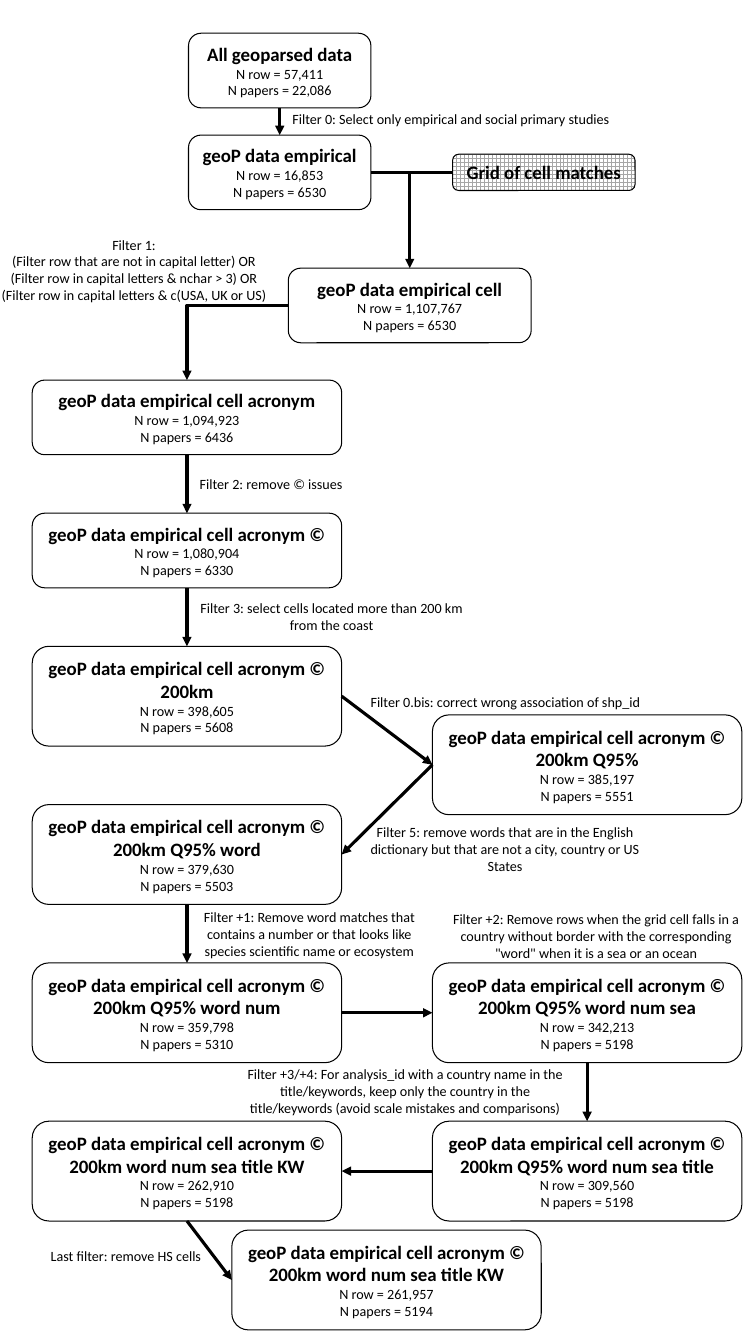
import pptx
import pptx.dml.color
import pptx.enum.dml
import pptx.enum.shapes
import pptx.enum.text
import pptx.oxml.ns
import pptx.util
from lxml import etree
from pptx.util import Inches

FONT = "Calibri"
TITLE_SIZE, TEXT_SIZE = 13.5, 10.1
BLACK, WHITE, GRID_GREY = "000000", "FFFFFF", "A6A6A6"
LEFT, RIGHT, WIDE = 0.32, 4.29, 3.07
SHORT, TALL = 0.74, 0.99
FIRST_TALL_ROW, ROW_PITCH = 6.41, 1.57
TOP_SIDE, LEFT_SIDE, BOTTOM_SIDE, RIGHT_SIDE = range(4)
ROWS = [FIRST_TALL_ROW + ROW_PITCH * index for index in range(4)]
STEM = "geoP data empirical cell acronym ©"

STEPS = {
    "all": ((1.87, 0.33, 1.81, SHORT), "All geoparsed data", "57,411", "22,086"),
    "empirical": ((1.87, 1.34, 1.81, SHORT), "geoP data empirical", "16,853", "6530"),
    "cell": ((2.86, 2.66, 2.41, SHORT), "geoP data empirical cell", "1,107,767", "6530"),
    "acronym": ((LEFT, 3.77, WIDE, SHORT), "geoP data empirical cell acronym", "1,094,923", "6436"),
    "copyright": ((LEFT, 5.09, WIDE, SHORT), STEM, "1,080,904", "6330"),
    "coast": ((LEFT, ROWS[0], WIDE, TALL), STEM + " 200km", "398,605", "5608"),
    "quantile": ((RIGHT, 7.09, WIDE, TALL), STEM + " 200km Q95%", "385,197", "5551"),
    "word": ((LEFT, ROWS[1], WIDE, TALL), STEM + " 200km Q95% word", "379,630", "5503"),
    "num": ((LEFT, ROWS[2], WIDE, TALL), STEM + " 200km Q95% word num", "359,798", "5310"),
    "sea": ((RIGHT, ROWS[2], WIDE, TALL), STEM + " 200km Q95% word num sea", "342,213", "5198"),
    "title": ((RIGHT, ROWS[3], WIDE, TALL), STEM + " 200km Q95% word num sea title", "309,560", "5198"),
    "keywords": ((LEFT, ROWS[3], WIDE, TALL), STEM + " 200km word num sea title KW", "262,910", "5198"),
    "final": ((2.3, 12.2, WIDE, TALL), STEM + " 200km word num sea title KW", "261,957", "5194"),
}

ARROWS = [
    ("all", BOTTOM_SIDE, "empirical", TOP_SIDE),
    ("acronym", BOTTOM_SIDE, "copyright", TOP_SIDE),
    ("copyright", BOTTOM_SIDE, "coast", TOP_SIDE),
    ("coast", RIGHT_SIDE, "quantile", LEFT_SIDE),
    ("quantile", LEFT_SIDE, "word", RIGHT_SIDE),
    ("word", BOTTOM_SIDE, "num", TOP_SIDE),
    ("num", RIGHT_SIDE, "sea", LEFT_SIDE),
    ("sea", BOTTOM_SIDE, "title", TOP_SIDE),
    ("title", LEFT_SIDE, "keywords", RIGHT_SIDE),
    ("keywords", BOTTOM_SIDE, "final", LEFT_SIDE),
]

FILTERS = [
    ((2.77, 1.05, 3.41, 0.27), ["Filter 0: Select only empirical and social primary studies"]),
    ((1.25, 4.67, 2.88, 0.27), ["Filter 2: remove © issues"]),
    ((1.85, 5.9, 2.88, 0.44), ["Filter 3: select cells located more than 200 km from the coast"]),
    ((3.48, 6.83, WIDE, 0.27), ["Filter 0.bis: correct wrong association of shp_id"]),
    ((3.57, 8.12, 2.88, 0.61), ["Filter 5: remove words that are in the English",
                                "dictionary but that are not a city, country or US States"]),
    ((1.85, 8.96, 2.44, 0.61), ["Filter +1: Remove word matches that contains a number or "
                                "that looks like species scientific name or ecosystem"]),
    ((4.38, 8.98, WIDE, 0.61), ["Filter +2: Remove rows when the grid cell falls in a country without "
                                "border with the corresponding \"word\" when it is a sea or an ocean"]),
    ((2.31, 10.52, 3.42, 0.61), ["Filter +3/+4: For analysis_id with a country name in the title/keywords, "
                                 "keep only the country in the title/keywords "
                                 "(avoid scale mistakes and comparisons)"]),
    ((0.3, 12.32, 1.9, 0.27), ["Last filter: remove HS cells"]),
]

ACRONYM_FILTER = ((-0.11, 2.29, 2.88, 0.78), [
    "Filter 1:",
    "(Filter row that are not in capital letter) OR",
    "(Filter row in capital letters & nchar > 3) OR",
    "(Filter row in capital letters & c(USA, UK or US)",
])


def color(hex_code):
    """Return the RGB colour for a hex string."""
    return pptx.dml.color.RGBColor.from_string(hex_code)


def write_lines(shape, lines):
    """Write centred paragraphs from (text, size, bold) triples."""
    frame = shape.text_frame
    frame.word_wrap = True
    for index, (text, size, bold) in enumerate(lines):
        paragraph = frame.add_paragraph() if index else frame.paragraphs[0]
        paragraph.alignment = pptx.enum.text.PP_ALIGN.CENTER
        run = paragraph.add_run()
        run.text = text
        run.font.name = FONT
        run.font.size = pptx.util.Pt(size)
        run.font.bold = bold
        run.font.color.rgb = color(BLACK)


def add_box(slide, box, lines):
    """Add an unfilled rounded box with centred text."""
    shape = slide.shapes.add_shape(
        pptx.enum.shapes.MSO_SHAPE.ROUNDED_RECTANGLE, *map(Inches, box))
    shape.shadow.inherit = False
    shape.fill.background()
    shape.line.color.rgb = color(BLACK)
    shape.line.width = pptx.util.Pt(0.75)
    shape.text_frame.vertical_anchor = pptx.enum.text.MSO_ANCHOR.MIDDLE
    write_lines(shape, lines)
    return shape


def add_step(slide, box, title, rows, papers):
    """Add a dataset box with its title and counts."""
    return add_box(slide, box, [
        (title, TITLE_SIZE, True),
        (f"N row = {rows}", TEXT_SIZE, False),
        (f"N papers = {papers}", TEXT_SIZE, False),
    ])


def add_grid_box(slide, box):
    """Add the patterned box for the grid of cell matches."""
    shape = add_box(slide, box, [("Grid of cell matches", TITLE_SIZE, True)])
    shape.fill.patterned()
    shape.fill.pattern = pptx.enum.dml.MSO_PATTERN.LARGE_GRID
    shape.fill.fore_color.rgb = color(GRID_GREY)
    shape.fill.back_color.rgb = color(WHITE)
    return shape


def add_filter(slide, box, lines):
    """Add a filter caption and return its text box."""
    shape = slide.shapes.add_textbox(*map(Inches, box))
    write_lines(shape, [(line, TEXT_SIZE, False) for line in lines])
    return shape


def add_line(slide, start, end, arrow=True, elbow=False):
    """Add a line between points or (shape, side) pairs."""
    kinds = pptx.enum.shapes.MSO_CONNECTOR
    connector = slide.shapes.add_connector(
        kinds.ELBOW if elbow else kinds.STRAIGHT, 0, 0, 0, 0)
    if isinstance(start[0], int):
        connector.begin_x, connector.begin_y = start
    else:
        connector.begin_connect(*start)
    connector.end_connect(*end)
    connector.line.color.rgb = color(BLACK)
    connector.line.width = pptx.util.Pt(2.25)
    qualified = pptx.oxml.ns.qn
    properties = connector._element.spPr
    if arrow:
        etree.SubElement(properties.find(qualified("a:ln")), qualified("a:tailEnd"), type="triangle")
    if elbow:
        properties.find(qualified("a:prstGeom")).set("prst", "bentConnector2")
        transform = properties.find(qualified("a:xfrm"))
        transform.attrib.pop("flipH", None)
        transform.set("rot", "10800000")
        transform.set("flipV", "1")
    etree.SubElement(properties, qualified("a:effectLst"))


def add_arrows(slide, steps, grid):
    """Connect the steps and join the grid box to the flow."""
    for source, source_side, target, target_side in ARROWS:
        add_line(slide, (steps[source], source_side), (steps[target], target_side))
    add_line(slide, (steps["cell"], LEFT_SIDE), (steps["acronym"], TOP_SIDE), elbow=True)
    add_line(slide, (steps["empirical"], RIGHT_SIDE), (grid, LEFT_SIDE), arrow=False)
    cell = steps["cell"]
    junction = (int(cell.left + cell.width / 2), int(grid.top + grid.height / 2))
    add_line(slide, junction, (cell, TOP_SIDE))


def main():
    """Build and save the data filtering flowchart."""
    presentation = pptx.Presentation()
    presentation.slide_width = Inches(7.5)
    presentation.slide_height = Inches(13.33)
    slide = presentation.slides.add_slide(presentation.slide_layouts[6])
    steps = {name: add_step(slide, *step) for name, step in STEPS.items()}
    grid = add_grid_box(slide, (4.49, 1.53, 1.81, 0.36))
    add_arrows(slide, steps, grid)
    for box, lines in FILTERS:
        add_filter(slide, box, lines)
    caption = add_filter(slide, *ACRONYM_FILTER)
    caption.text_frame.paragraphs[1]._p.get_or_add_pPr().set("indent", str(Inches(-0.2)))
    presentation.save("out.pptx")


if __name__ == "__main__":
    main()
